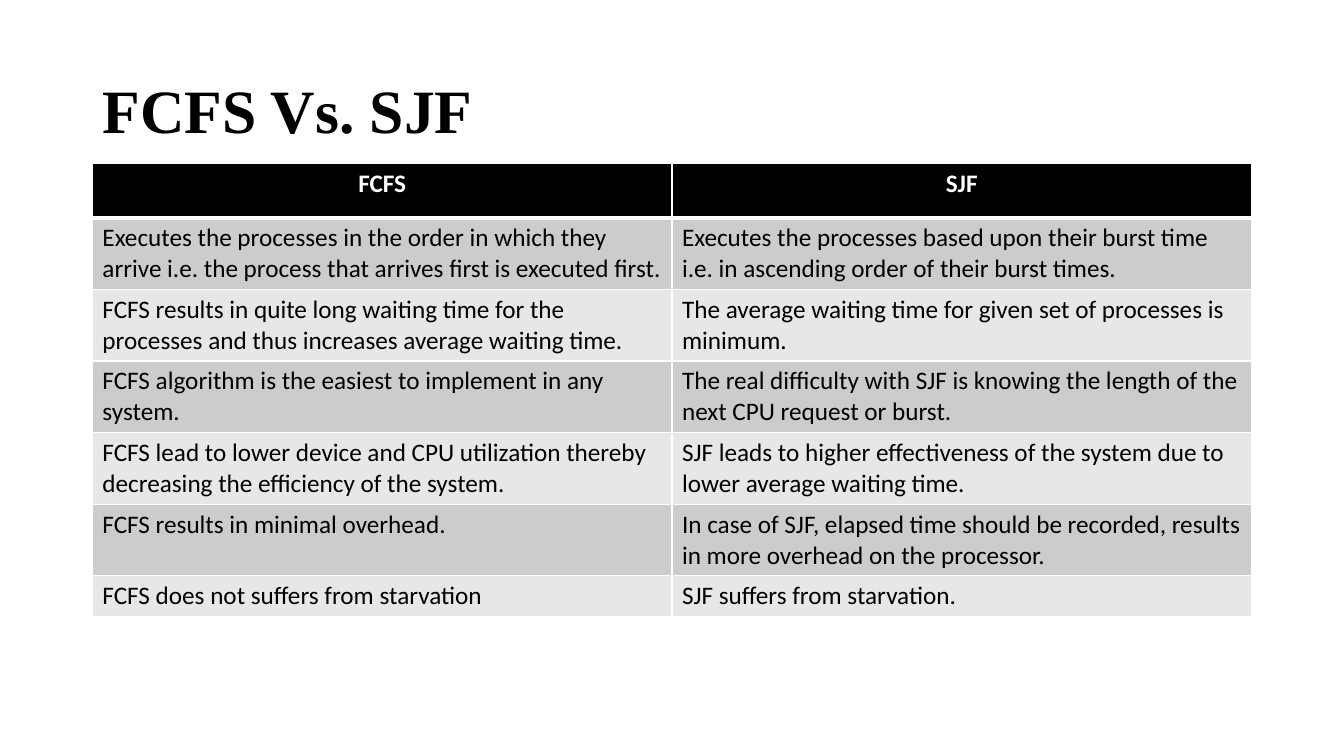
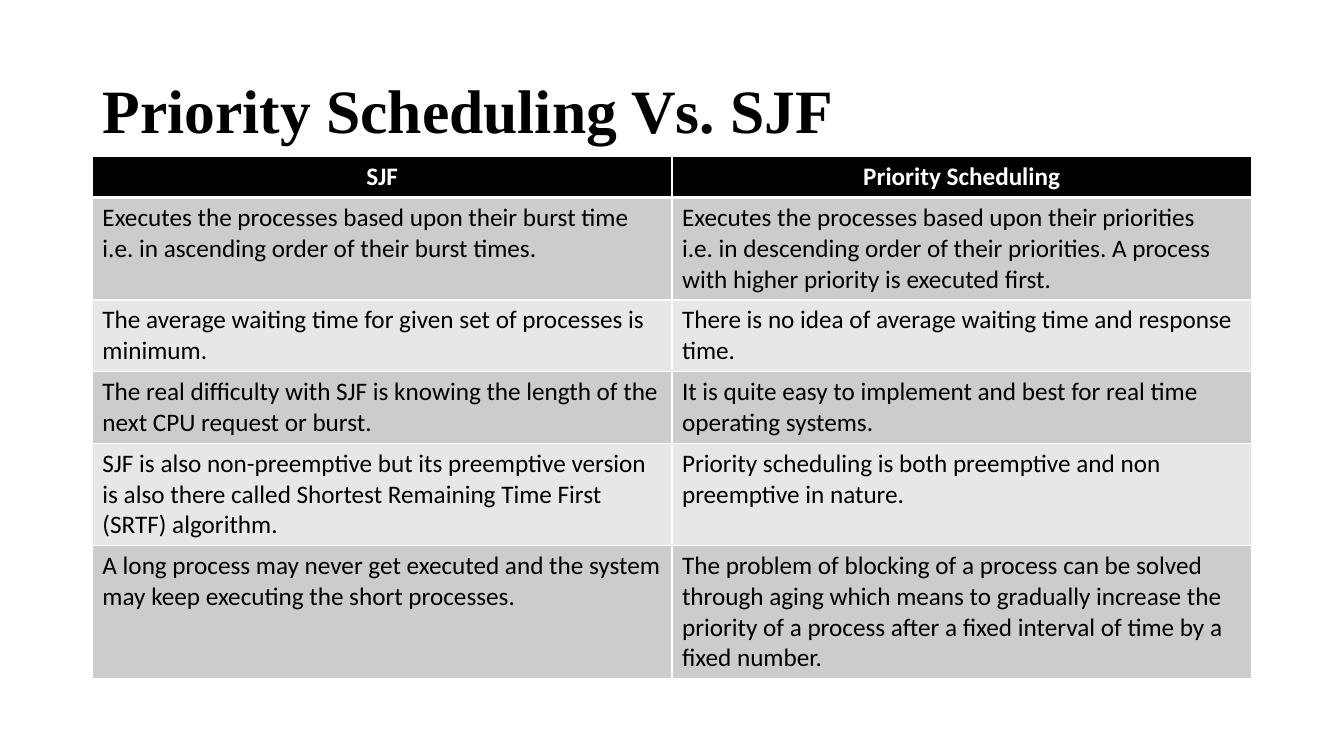
"""Build two slides that compare CPU scheduling algorithms in tables."""
import dataclasses

import lxml.etree
import pptx
import pptx.dml.color
import pptx.enum.text
import pptx.oxml.ns
import pptx.util

Pt = pptx.util.Pt
PP_ALIGN = pptx.enum.text.PP_ALIGN
qn = pptx.oxml.ns.qn


@dataclasses.dataclass(frozen=True)
class Theme:
    title_font: str = "Times New Roman"
    body_font: str = "Calibri"
    title_size: float = 44
    body_size: float = 18
    dark: str = "000000"
    light: str = "FFFFFF"
    bands: tuple = ("CCCCCC", "E7E7E7")
    thin: float = 1
    thick: float = 3
    left: float = 66
    width: float = 828
    title_top: float = 28.8
    title_height: float = 104.4
    row_height: float = 29.2


class Deck:
    def __init__(self, theme):
        self.theme = theme
        self.presentation = pptx.Presentation()
        self.presentation.slide_width = Pt(960)
        self.presentation.slide_height = Pt(540)
        self.slide = None

    def add_slide(self, title):
        theme = self.theme
        layout = self.presentation.slide_layouts.get_by_name("Title Only")
        self.slide = self.presentation.slides.add_slide(layout)
        shape = self.slide.shapes.title
        shape.left, shape.top = Pt(theme.left), Pt(theme.title_top)
        shape.width, shape.height = Pt(theme.width), Pt(theme.title_height)
        frame = shape.text_frame
        frame.text = title
        frame.word_wrap = True
        frame.auto_size = pptx.enum.text.MSO_AUTO_SIZE.NONE
        frame.vertical_anchor = pptx.enum.text.MSO_ANCHOR.MIDDLE
        paragraph = frame.paragraphs[0]
        paragraph.line_spacing = 0.9
        self.format_paragraph(paragraph, theme.title_font, theme.title_size,
                              theme.dark, True, PP_ALIGN.LEFT)

    def format_paragraph(self, paragraph, font, size, color, bold, alignment):
        paragraph.alignment = alignment
        for run in paragraph.runs:
            run.font.name = font
            run.font.size = Pt(size)
            run.font.bold = bold
            run.font.color.rgb = pptx.dml.color.RGBColor.from_string(color)

    def add_table(self, top, rows, header_height):
        theme = self.theme
        heights = [header_height] + [theme.row_height] * (len(rows) - 1)
        table = self.slide.shapes.add_table(
            len(rows), len(rows[0]), Pt(theme.left), Pt(top),
            Pt(theme.width), Pt(sum(heights))).table
        for row_index, texts in enumerate(rows):
            table.rows[row_index].height = Pt(heights[row_index])
            for column_index, text in enumerate(texts):
                self.fill_cell(table.cell(row_index, column_index), text, row_index)

    def fill_cell(self, cell, text, row_index):
        theme = self.theme
        header = row_index == 0
        self.set_borders(cell, row_index)
        fill = theme.dark if header else theme.bands[(row_index - 1) % 2]
        cell.fill.solid()
        cell.fill.fore_color.rgb = pptx.dml.color.RGBColor.from_string(fill)
        cell.text_frame.text = text
        for paragraph in cell.text_frame.paragraphs:
            self.format_paragraph(
                paragraph, theme.body_font, theme.body_size,
                theme.light if header else theme.dark, header,
                PP_ALIGN.CENTER if header else PP_ALIGN.LEFT)

    def set_borders(self, cell, row_index):
        theme = self.theme
        properties = cell._tc.get_or_add_tcPr()
        thick_side = {0: "lnB", 1: "lnT"}.get(row_index)
        for side in ("lnL", "lnR", "lnT", "lnB"):
            width = theme.thick if side == thick_side else theme.thin
            line = lxml.etree.SubElement(properties, qn(f"a:{side}"), w=str(Pt(width)))
            fill = lxml.etree.SubElement(line, qn("a:solidFill"))
            lxml.etree.SubElement(fill, qn("a:srgbClr"), val=theme.light)


SJF_ORDER = ("Executes the processes based upon their burst time "
             "i.e. in ascending order of their burst times.")
SJF_WAITING = "The average waiting time for given set of processes is minimum."
SJF_DIFFICULTY = ("The real difficulty with SJF is knowing the length of the "
                  "next CPU request or burst.")

FCFS_ROWS = [
    ("FCFS", "SJF"),
    ("Executes the processes in the order in which they arrive i.e. "
     "the process that arrives first is executed first.", SJF_ORDER),
    ("FCFS results in quite long waiting time for the processes and thus "
     "increases average waiting time.", SJF_WAITING),
    ("FCFS algorithm is the easiest to implement in any system.", SJF_DIFFICULTY),
    ("FCFS lead to lower device and CPU utilization thereby decreasing the "
     "efficiency of the system.",
     "SJF leads to higher effectiveness of the system due to lower average "
     "waiting time."),
    ("FCFS results in minimal overhead.",
     "In case of SJF, elapsed time should be recorded, results in more "
     "overhead on the processor."),
    ("FCFS does not suffers from starvation", "SJF suffers from starvation."),
]

PRIORITY_ROWS = [
    ("SJF", "Priority Scheduling"),
    (SJF_ORDER,
     "Executes the processes based upon their priorities\n"
     "i.e. in descending order of their priorities. A process with higher "
     "priority is executed first."),
    (SJF_WAITING,
     "There is no idea of average waiting time and response time."),
    (SJF_DIFFICULTY,
     "It is quite easy to implement and best for real time operating systems."),
    ("SJF is also non-preemptive but its preemptive version is also there "
     "called Shortest Remaining Time First (SRTF) algorithm.",
     "Priority scheduling is both preemptive and non preemptive in nature."),
    ("A long process may never get executed and the system may keep "
     "executing the short processes.",
     "The problem of blocking of a process can be solved through aging which "
     "means to gradually increase the priority of a process after a fixed "
     "interval of time by a fixed number."),
]


def main():
    theme = Theme()
    deck = Deck(theme)
    deck.add_slide("FCFS Vs. SJF")
    deck.add_table(116.9, FCFS_ROWS, header_height=38.6)
    deck.add_slide("Priority Scheduling Vs. SJF")
    deck.add_table(111.9, PRIORITY_ROWS, header_height=theme.row_height)
    deck.presentation.save("out.pptx")


if __name__ == "__main__":
    main()
